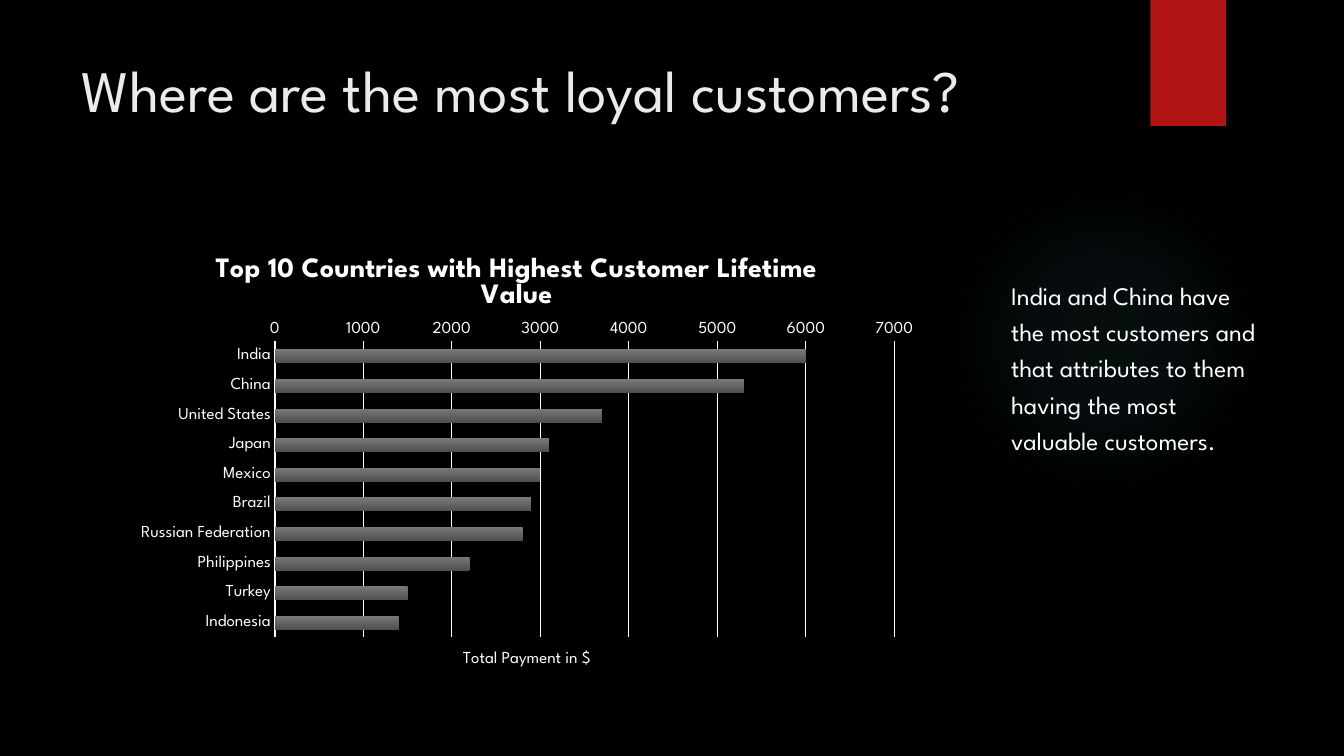
"""Build a slide with a bar chart of customer lifetime value by country."""
from lxml import etree
from pptx import Presentation
from pptx.chart.data import CategoryChartData
from pptx.dml.color import RGBColor
from pptx.enum.chart import XL_CHART_TYPE, XL_TICK_MARK
from pptx.enum.shapes import MSO_SHAPE
from pptx.enum.text import MSO_ANCHOR, PP_ALIGN
from pptx.oxml import parse_xml
from pptx.oxml.ns import nsdecls, qn
from pptx.util import Inches, Pt

BAR = XL_CHART_TYPE.BAR_CLUSTERED
NO_TICK = XL_TICK_MARK.NONE
ELLIPSE, RECTANGLE = MSO_SHAPE.OVAL, MSO_SHAPE.RECTANGLE
TOP, LEFT = MSO_ANCHOR.TOP, PP_ALIGN.LEFT
FONT = "League Spartan"
WHITE = "FFFFFF"
PAYMENTS = {
    "India": 6000, "China": 5300, "United States": 3700, "Japan": 3100,
    "Mexico": 3000, "Brazil": 2900, "Russian Federation": 2800,
    "Philippines": 2200, "Turkey": 1500, "Indonesia": 1400,
}


def color_of(value):
    """Turn a hex string into a colour."""
    return RGBColor.from_string(value)


def style(font, size, color, bold=False):
    """Set the typeface, size, colour and weight of a font."""
    font.name, font.size, font.bold = FONT, Pt(size), bold
    font.color.rgb = color_of(color)


presentation = Presentation()
presentation.slide_width, presentation.slide_height = Inches(13.33), Inches(7.5)
slide = presentation.slides.add_slide(presentation.slide_layouts[5])
slide.background.fill.solid()
slide.background.fill.fore_color.rgb = color_of("000000")

glow = slide.shapes.add_shape(ELLIPSE, Inches(9.41), Inches(1.83), Inches(3.08), Inches(3.08))
ribbon = slide.shapes.add_shape(RECTANGLE, Inches(11.41), 0, Inches(0.75), Inches(1.25))
for shape in (glow, ribbon):
    shape.shadow.inherit = False
    shape.line.fill.background()
ribbon.fill.solid()
ribbon.fill.fore_color.rgb = color_of("B01513")

stops = "".join(
    f'<a:gs pos="{position * 1000}"><a:srgbClr val="50B9C1">'
    f'<a:alpha val="{alpha * 1000}"/></a:srgbClr></a:gs>'
    for position, alpha in ((0, 7), (36, 6), (69, 0), (100, 0))
)
glow.fill.background()
properties = glow.element.spPr
properties.replace(properties.find(qn("a:noFill")), parse_xml(
    f'<a:gradFill {nsdecls("a")}><a:gsLst>{stops}</a:gsLst><a:path path="circle">'
    '<a:fillToRect l="50000" t="50000" r="50000" b="50000"/></a:path></a:gradFill>'
))

title = slide.shapes.title
title.left, title.top, title.width, title.height = map(Inches, (0.71, 0.48, 11.25, 1.53))
title.text_frame.vertical_anchor = TOP
paragraph = title.text_frame.paragraphs[0]
paragraph.alignment = LEFT
run = paragraph.add_run()
run.text = "Where are the most loyal customers?"
style(run.font, 42, "EBEBEB")

chart_data = CategoryChartData()
chart_data.categories = list(PAYMENTS)
chart_data.add_series("Series 1", list(PAYMENTS.values()))
chart = slide.shapes.add_chart(
    BAR, Inches(1.21), Inches(2.24), Inches(7.98), Inches(4.59), chart_data
).chart
chart.has_legend = False
style(chart.font, 10, WHITE)

countries, payments = chart.category_axis, chart.value_axis
for axis in (countries, payments):
    axis.major_tick_mark = axis.minor_tick_mark = NO_TICK
    style(axis.tick_labels.font, 12, WHITE)
countries.reverse_order = True
payments.minimum_scale, payments.maximum_scale, payments.major_unit = 0, 7000, 1000
payments.format.line.fill.background()
for line, width in ((countries.format.line, 1), (payments.major_gridlines.format.line, 0.75)):
    line.color.rgb = color_of(WHITE)
    line.width = Pt(width)

for owner, words, size, bold in (
    (chart.chart_title, "Top 10 Countries with Highest Customer Lifetime Value", 20, True),
    (payments.axis_title, "Total Payment in $", 12, False),
):
    run = owner.text_frame.paragraphs[0].add_run()
    run.text = words
    style(run.font, size, WHITE, bold)

plot_area = chart.element.find(".//" + qn("c:plotArea"))
for element, index, settings in (
    (chart.element.find(".//" + qn("c:title")), 1, {"x": 0.11, "y": 0.05}),
    (plot_area.find(qn("c:valAx")).find(qn("c:title")), 1, {"x": 0.42, "y": 0.91}),
    (plot_area, 0, {"x": 0.19, "y": 0.25, "w": 0.77, "h": 0.64}),
):
    for old_layout in element.findall(qn("c:layout")):
        element.remove(old_layout)
    layout = parse_xml(f"<c:layout {nsdecls('c')}><c:manualLayout/></c:layout>")
    target = {"layoutTarget": "inner"} if "w" in settings else {}
    for name, value in {**target, "xMode": "edge", "yMode": "edge", **settings}.items():
        etree.SubElement(layout[0], qn(f"c:{name}")).set("val", str(value))
    element.insert(index, layout)

plot = chart.plots[0]
plot.gap_width, plot.overlap, plot.vary_by_categories = 115, -20, False
fill = plot.series[0].format.fill
fill.gradient()
fill.gradient_angle = 270
for stop, color, position in zip(fill.gradient_stops, ("797979", "505050"), (0, 1)):
    stop.color.rgb = color_of(color)
    stop.position = position

note = slide.shapes.add_textbox(Inches(9.93), Inches(2.67), Inches(2.63), Inches(2.22))
note.text_frame.word_wrap = True
paragraph = note.text_frame.paragraphs[0]
paragraph.line_spacing = 1.2
run = paragraph.add_run()
run.text = ("India and China have the most customers and that attributes to them "
            "having the most valuable customers.")
style(run.font, 18, WHITE)

presentation.save("out.pptx")
